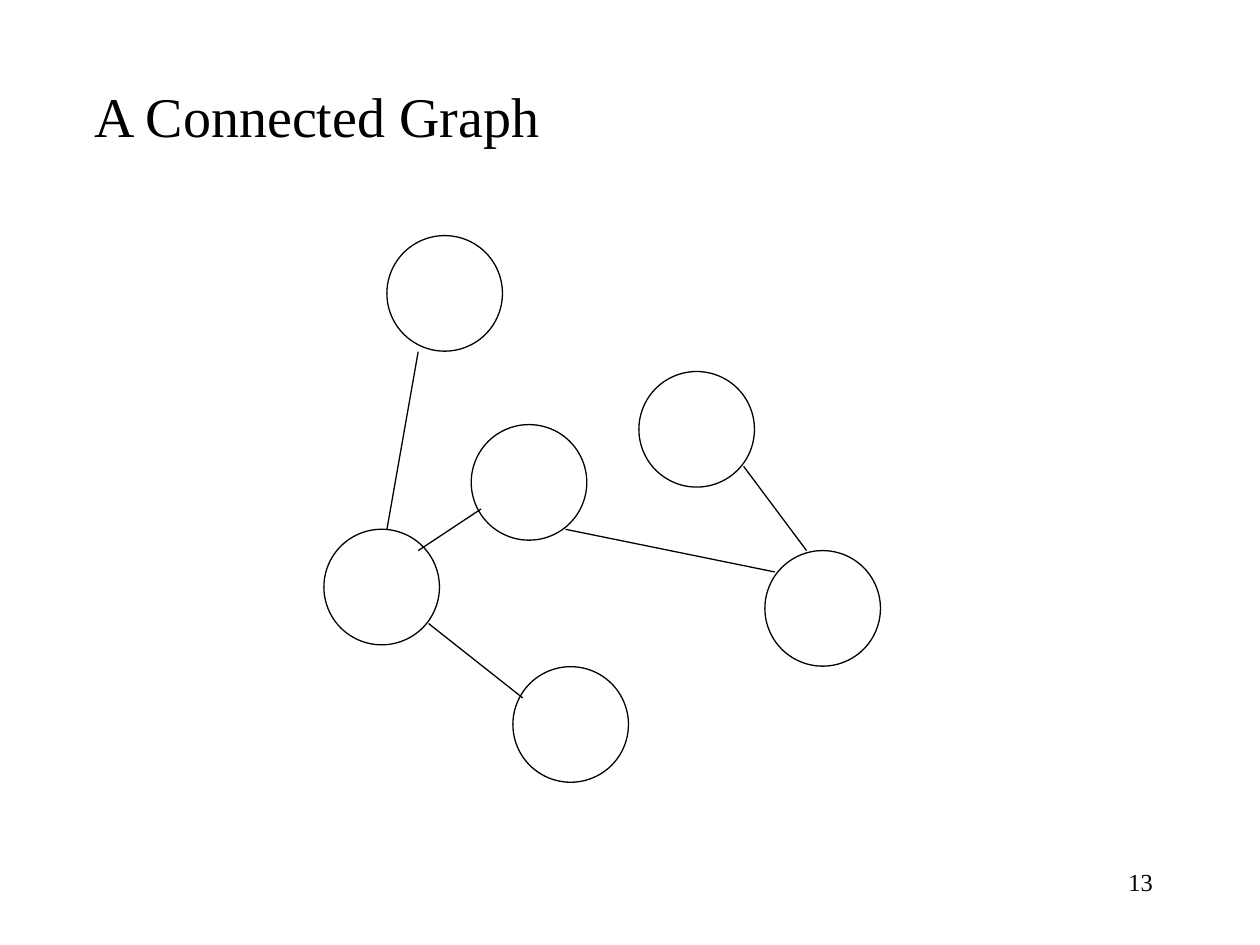
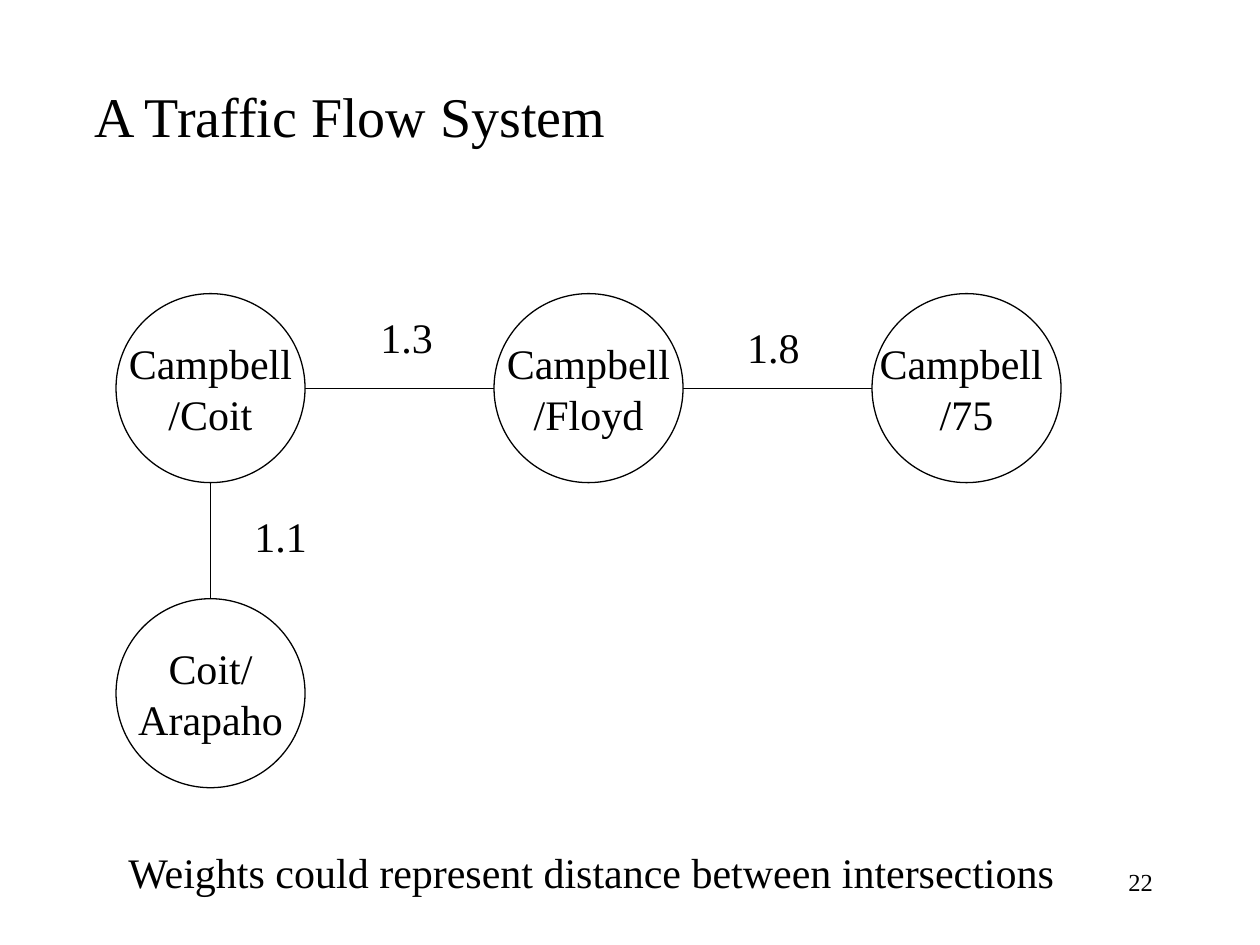
"""Builds two slides about graphs: a connected graph and a traffic flow system."""
from lxml.etree import SubElement
from pptx import Presentation
from pptx.dml.color import RGBColor
from pptx.enum.shapes import MSO_CONNECTOR, MSO_SHAPE
from pptx.enum.text import MSO_ANCHOR, MSO_AUTO_SIZE, PP_ALIGN
from pptx.oxml.ns import qn
from pptx.util import Cm, Pt

COLORS = {"ink": "000000", "paper": "FFFFFF"}
FONT = "Times New Roman"
TITLE_SIZE, TEXT_SIZE, NUMBER_SIZE = 32, 24, 14
LINE_WIDTH = Pt(0.75)

VERTEX_SIZE = 2.33
VERTICES = [(9.5, 8.56), (10.34, 13.44), (12.88, 7.49),
            (7.8, 4.75), (15.42, 11.1), (6.53, 10.67)]
EDGES = [((8.43, 7.09), (7.8, 10.67)), ((8.43, 11.1), (9.7, 10.26)),
         ((10.54, 14.07), (8.64, 12.57)), ((11.4, 10.67), (15.62, 11.53)),
         ((16.26, 11.1), (14.99, 9.4))]

CROSSING_SIZE = 3.81
CROSSING_LEFT, CROSSING_STEP = 2.34, 2 * CROSSING_SIZE
CAMPBELL_TOP, ARAPAHO_TOP = 5.92, 12.07
CAMPBELL_ROAD = ["Campbell\n/Coit", "Campbell\n/Floyd", "Campbell \n/75"]
WEIGHTS = [("1.1", 4.88, 10.16), ("1.3", 7.42, 6.15), ("1.8", 14.81, 6.35)]


def color(name):
    return RGBColor.from_string(COLORS[name])


def write(frame, text, size, align=PP_ALIGN.LEFT):
    frame.text = text
    for paragraph in frame.paragraphs:
        paragraph.alignment = align
        paragraph.font.name = FONT
        paragraph.font.size = Pt(size)
        paragraph.font.color.rgb = color("ink")


def fit_on_one_line(frame):
    frame.word_wrap = False
    frame.auto_size = MSO_AUTO_SIZE.SHAPE_TO_FIT_TEXT


def add_label(slide, text, left, top, width=1.57):
    label = slide.shapes.add_textbox(Cm(left), Cm(top), Cm(width), Cm(1.27))
    write(label.text_frame, text, TEXT_SIZE)
    fit_on_one_line(label.text_frame)


def add_node(slide, left, top, size, text=""):
    node = slide.shapes.add_shape(MSO_SHAPE.OVAL, Cm(left), Cm(top), Cm(size), Cm(size))
    node.shadow.inherit = False
    node.fill.background()
    node.line.color.rgb = color("ink")
    node.line.width = LINE_WIDTH
    if text:
        write(node.text_frame, text, TEXT_SIZE, PP_ALIGN.CENTER)
        node.text_frame.word_wrap = False
        node.text_frame.vertical_anchor = MSO_ANCHOR.MIDDLE


def add_edge(slide, start, end):
    points = [Cm(value) for value in (*start, *end)]
    edge = slide.shapes.add_connector(MSO_CONNECTOR.STRAIGHT, *points)
    edge.line.color.rgb = color("ink")
    edge.line.width = LINE_WIDTH
    SubElement(edge.line._get_or_add_ln().getparent(), qn("a:effectLst"))


def add_slide(deck, title, title_width, number):
    slide = deck.slides.add_slide(deck.slide_layouts[5])
    slide.background.fill.solid()
    slide.background.fill.fore_color.rgb = color("paper")
    heading = slide.shapes.title
    heading.left, heading.top = Cm(1.65), Cm(1.52)
    heading.width, heading.height = Cm(title_width), Cm(1.6)
    write(heading.text_frame, title, TITLE_SIZE)
    heading.text_frame.vertical_anchor = MSO_ANCHOR.TOP
    fit_on_one_line(heading.text_frame)
    page = slide.shapes.add_textbox(Cm(18.21), Cm(17.35), Cm(5.28), Cm(1.27))
    page.text_frame.word_wrap = True
    write(page.text_frame, str(number), NUMBER_SIZE, PP_ALIGN.RIGHT)
    return slide


def add_connected_graph(deck):
    slide = add_slide(deck, "A Connected Graph", 9.55, 13)
    for left, top in VERTICES:
        add_node(slide, left, top, VERTEX_SIZE)
    for start, end in EDGES:
        add_edge(slide, start, end)


def add_traffic_flow(deck):
    slide = add_slide(deck, "A Traffic Flow System", 10.95, 22)
    radius = CROSSING_SIZE / 2
    road_y = CAMPBELL_TOP + radius
    for column, crossing in enumerate(CAMPBELL_ROAD):
        left = CROSSING_LEFT + column * CROSSING_STEP
        add_node(slide, left, CAMPBELL_TOP, CROSSING_SIZE, crossing)
        if column:
            previous_right = left - CROSSING_STEP + CROSSING_SIZE
            add_edge(slide, (previous_right, road_y), (left, road_y))
    add_node(slide, CROSSING_LEFT, ARAPAHO_TOP, CROSSING_SIZE, "Coit/\nArapaho")
    coit_x = CROSSING_LEFT + radius
    add_edge(slide, (coit_x, CAMPBELL_TOP + CROSSING_SIZE), (coit_x, ARAPAHO_TOP))
    for weight, left, top in WEIGHTS:
        add_label(slide, weight, left, top)
    add_label(slide, "Weights could represent distance between intersections",
              CROSSING_LEFT, 16.94, 19.23)


def main():
    deck = Presentation()
    deck.slide_width, deck.slide_height = Cm(25.4), Cm(19.05)
    add_connected_graph(deck)
    add_traffic_flow(deck)
    deck.save("out.pptx")


if __name__ == "__main__":
    main()
